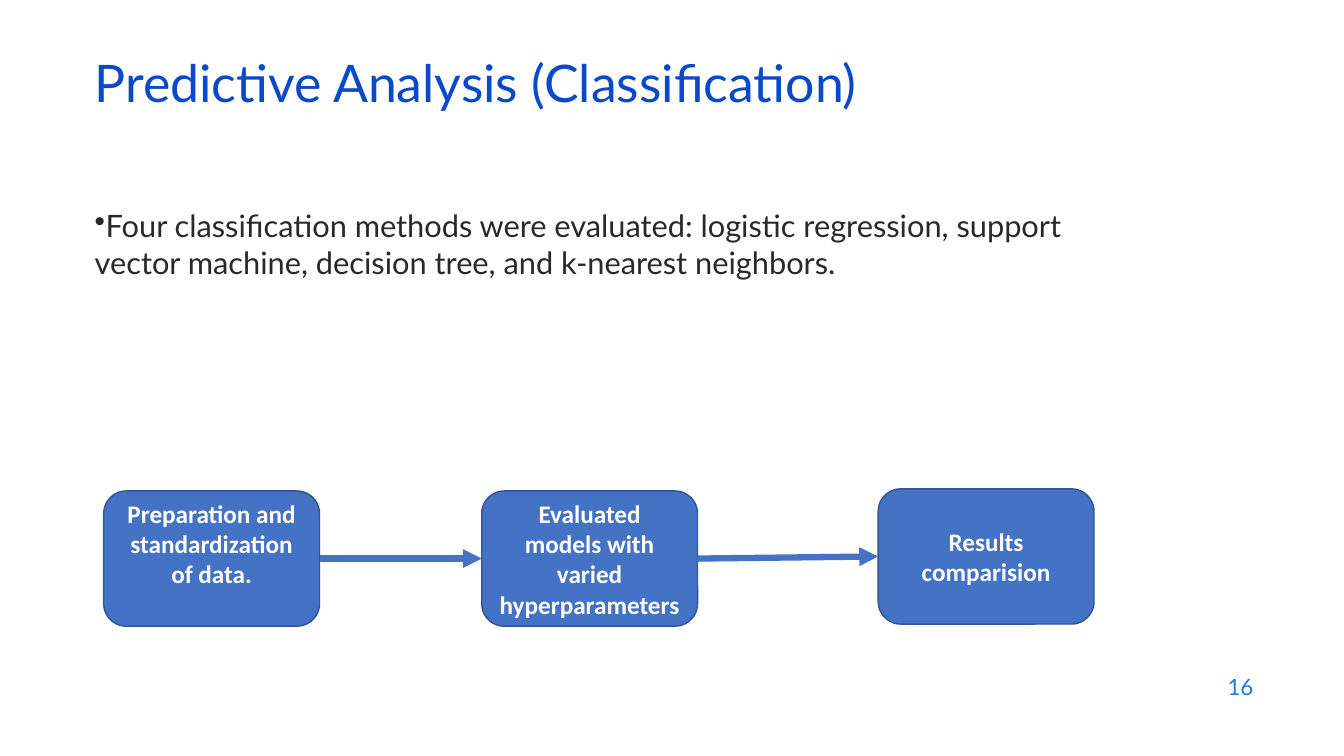
from itertools import pairwise

from lxml import etree
from pptx import Presentation
from pptx.dml.color import RGBColor
from pptx.enum.shapes import MSO_CONNECTOR, MSO_SHAPE
from pptx.enum.text import MSO_ANCHOR, PP_ALIGN
from pptx.oxml.ns import qn
from pptx.util import Inches, Pt

ROUNDED = MSO_SHAPE.ROUNDED_RECTANGLE
STRAIGHT = MSO_CONNECTOR.STRAIGHT
TOP, MIDDLE = MSO_ANCHOR.TOP, MSO_ANCHOR.MIDDLE
LEFT, CENTER, RIGHT = PP_ALIGN.LEFT, PP_ALIGN.CENTER, PP_ALIGN.RIGHT
LEFT_SIDE, RIGHT_SIDE = 1, 3

COLORS = {
    "title": "0B49CB",
    "body": "292929",
    "number": "1C7DDB",
    "step": "4472C4",
    "step_edge": "325491",
    "step_text": "FFFFFF",
}
FORMATS = {
    "title": {"name": "Lato", "size": Pt(37)},
    "body": {"name": "Lato", "size": Pt(22)},
    "number": {"name": "Lato", "size": Pt(16)},
    "step_text": {"name": "Calibri", "size": Pt(18), "bold": True},
}


class ProcessSlide:
    COLUMNS, ROWS = 32, 18

    def __init__(self, deck):
        self.column = deck.slide_width / self.COLUMNS
        self.row = deck.slide_height / self.ROWS
        self.shapes = deck.slides.add_slide(deck.slide_layouts[6]).shapes

    def place(self, left, top, width, height):
        return (
            round(left * self.column),
            round(top * self.row),
            round(width * self.column),
            round(height * self.row),
        )

    def color(self, role):
        return RGBColor.from_string(COLORS[role])

    def fill_frame(self, frame, words, role, align, anchor, bullet=False):
        frame.word_wrap = True
        frame.vertical_anchor = anchor
        paragraph = frame.paragraphs[0]
        paragraph.text = words
        paragraph.alignment = align
        if bullet:
            properties = paragraph._p.get_or_add_pPr()
            etree.SubElement(properties, qn("a:buChar"), char="•")
        font = paragraph.runs[0].font
        for attribute, value in FORMATS[role].items():
            setattr(font, attribute, value)
        font.color.rgb = self.color(role)
        return paragraph

    def text(self, area, words, role, align=LEFT, anchor=MIDDLE, bullet=False):
        frame = self.shapes.add_textbox(*self.place(*area)).text_frame
        return self.fill_frame(frame, words, role, align, anchor, bullet)

    def step(self, area, words, bottom_inset):
        box = self.shapes.add_shape(ROUNDED, *self.place(*area))
        box.shadow.inherit = False
        box.fill.solid()
        box.fill.fore_color.rgb = self.color("step")
        box.line.color.rgb = self.color("step_edge")
        box.line.width = Pt(1)
        box.text_frame.margin_bottom = Inches(bottom_inset)
        self.fill_frame(box.text_frame, words, "step_text", CENTER, MIDDLE)
        return box

    def arrow(self, source, target):
        link = self.shapes.add_connector(STRAIGHT, 0, 0, 0, 0)
        link.begin_connect(source, RIGHT_SIDE)
        link.end_connect(target, LEFT_SIDE)
        link.line.color.rgb = self.color("step")
        link.line.width = Pt(4.5)
        etree.SubElement(link.line._get_or_add_ln(), qn("a:tailEnd"), type="triangle")
        etree.SubElement(link._element.spPr, qn("a:effectLst"))


def main():
    deck = Presentation()
    deck.slide_width, deck.slide_height = Inches(13.33), Inches(7.5)
    slide = ProcessSlide(deck)

    slide.text((22.88, 15.82, 7.2, 1.06), "16", "number", align=RIGHT)
    slide.text(
        (2.02, 4.8, 25.59, 11.42),
        "Four classification methods were evaluated: logistic regression, "
        "support vector machine, decision tree, and k-nearest neighbors.",
        "body",
        anchor=TOP,
        bullet=True,
    )
    title = slide.text(
        (2.02, 1.42, 27.6, 1.44), "Predictive Analysis (Classification)", "title"
    )
    title.line_spacing = 0.7

    workflow = [
        (2.47, 11.69, "Preparation and standardization of data.", 0.35),
        (11.47, 11.69, "Evaluated models with varied hyperparameters", 0.05),
        (20.91, 11.64, "Results comparision", 0.05),
    ]
    steps = [
        slide.step((left, top, 5.14, 3.22), words, bottom_inset)
        for left, top, words, bottom_inset in workflow
    ]
    for source, target in pairwise(steps):
        slide.arrow(source, target)

    deck.save("out.pptx")


if __name__ == "__main__":
    main()
